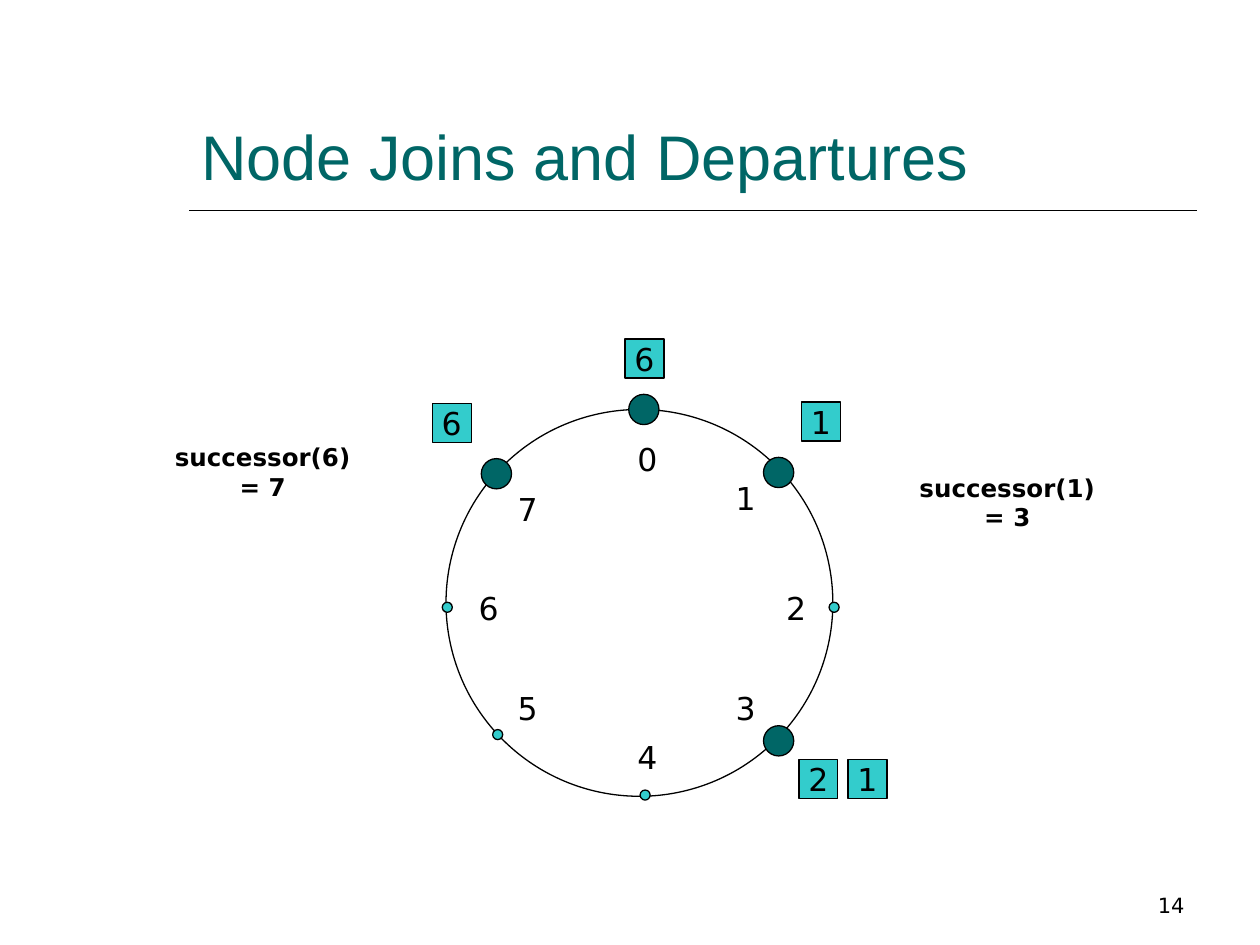
from pptx import Presentation
from pptx.dml.color import RGBColor
from pptx.enum.shapes import MSO_CONNECTOR, MSO_SHAPE
from pptx.enum.text import MSO_ANCHOR, PP_ALIGN
from pptx.oxml.ns import qn
from pptx.util import Inches, Pt
from lxml.etree import SubElement

# Grid: 100 columns by 75 rows on a 10 x 7.5 inch slide
deck = Presentation()
deck.slide_width, deck.slide_height = Inches(10), Inches(7.5)
cell = deck.slide_width // 100
slide = deck.slides.add_slide(deck.slide_layouts[6])
TEAL, AQUA, BLACK = "006666", "33CCCC", "000000"


def shape(kind, x, y, size, fill=None):
    """Add a shape of equal width and height, centred on a grid point."""
    item = slide.shapes.add_shape(
        kind, *(int(v * cell) for v in (x - size / 2, y - size / 2, size, size)))
    item.shadow.inherit = False
    if fill:
        item.fill.solid()
        item.fill.fore_color.rgb = RGBColor.from_string(fill)
    else:
        item.fill.background()
    item.line.color.rgb = RGBColor.from_string(BLACK)
    item.line.width = Pt(0.75)
    return item


def write(text, size, box=None, item=None, font="DejaVu Sans", color=BLACK,
          align=PP_ALIGN.CENTER, anchor=MSO_ANCHOR.MIDDLE, wrap=False, bold=False):
    """Write text in a shape, or in a new text box (left, top, width, height)."""
    item = item or slide.shapes.add_textbox(*(int(v * cell) for v in box))
    frame = item.text_frame
    frame.word_wrap = wrap
    frame.vertical_anchor = anchor
    line = frame.paragraphs[0]
    line.text = text
    line.alignment = align
    line.font.name, line.font.size, line.font.bold = font, Pt(size), bold
    line.font.color.rgb = RGBColor.from_string(color)


# Title and rule
write("Node Joins and Departures", 36, (15, 3.3, 80, 12.5), font="Arial",
      color=TEAL, align=PP_ALIGN.LEFT, anchor=MSO_ANCHOR.BOTTOM, wrap=True)
rule = slide.shapes.add_connector(
    MSO_CONNECTOR.STRAIGHT, *(int(v * cell) for v in (15, 16.7, 95, 16.7)))
rule.line.color.rgb = RGBColor.from_string(BLACK)
rule.line.width = Pt(1)
SubElement(rule._element.spPr, qn("a:effectLst"))

# Ring
shape(MSO_SHAPE.OVAL, 50.75, 47.85, 30.7)

# Places 0 to 7: point on the ring, then centre of the label
spots = [
    (51.1, 32.5, 51.2, 36.45),
    (61.8, 37.5, 59, 39.55),
    (66.2, 48.2, 63, 48.25),
    (61.8, 58.8, 59, 56.15),
    (51.2, 63.1, 51.2, 60.05),
    (39.5, 58.3, 41.7, 56.15),
    (35.5, 48.2, 38.6, 48.25),
    (39.4, 37.6, 41.7, 40.35),
]
nodes = {0, 1, 3, 7}
for i, (x, y, tx, ty) in enumerate(spots):
    live = i in nodes
    shape(MSO_SHAPE.OVAL, x, y, 2.4 if live else 0.8, TEAL if live else AQUA)
    write(str(i), 18, (tx - 1.6, ty - 1.55, 3.2, 3.1))

# Keys held by the nodes
keys = [("6", 51.15, 28.45), ("1", 65.15, 33.45), ("2", 64.95, 61.85),
        ("6", 35.85, 33.55), ("1", 68.85, 61.85)]
for key, x, y in keys:
    write(key, 18, item=shape(MSO_SHAPE.RECTANGLE, x, y, 3.1, AQUA))

# Successor notes
for text, x, y in [("successor(6) = 7", 12.2, 35.9), ("successor(1) = 3", 71.3, 38.3)]:
    write(text, 14, (x, y, 17.3, 3.1), bold=True)

# Page number
write("14", 12, (71.7, 68.3, 23.3, 5), align=PP_ALIGN.RIGHT,
      anchor=MSO_ANCHOR.BOTTOM, wrap=True)

deck.save("out.pptx")
